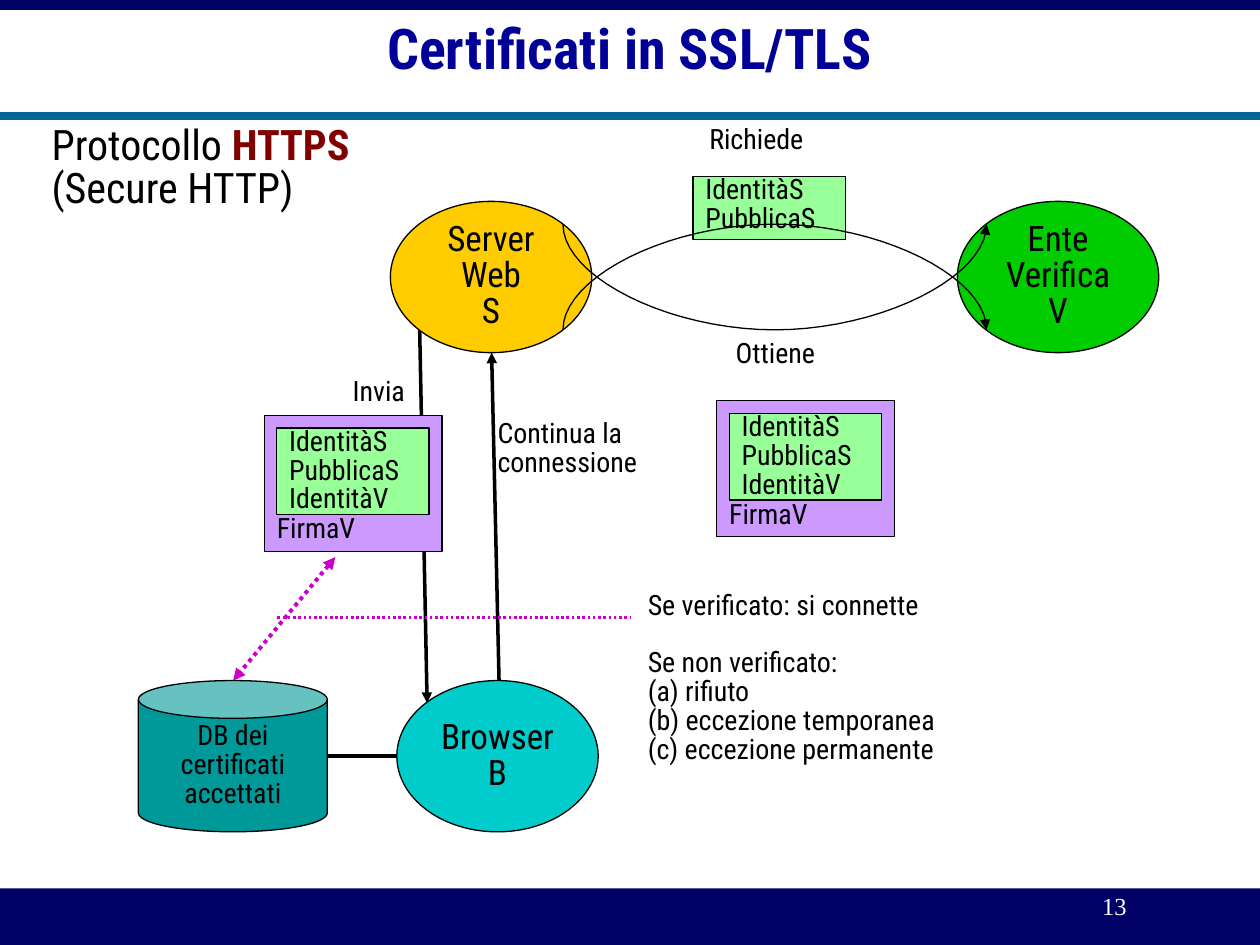
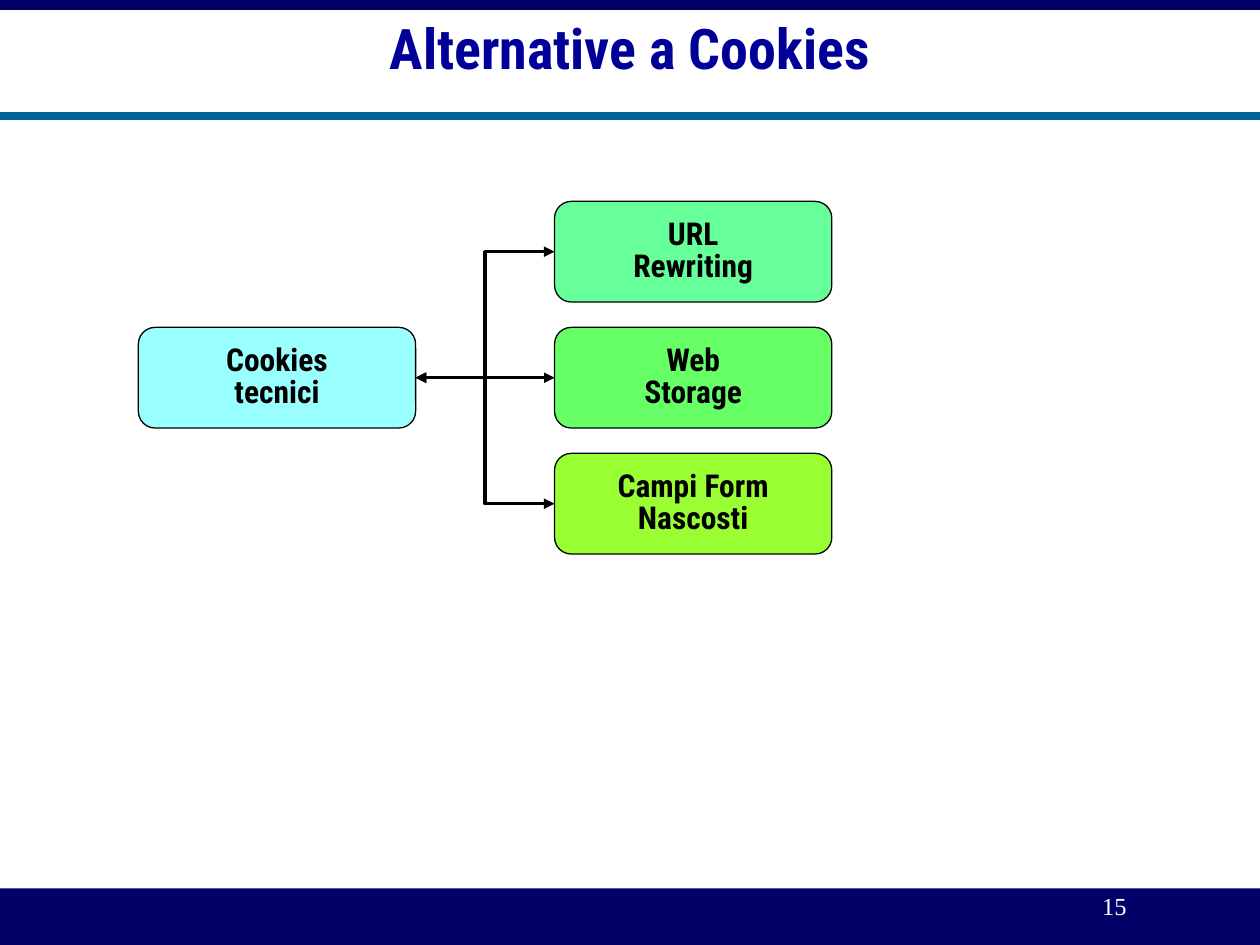
from lxml import etree
from pptx import Presentation
from pptx.dml.color import RGBColor
from pptx.enum.dml import MSO_LINE
from pptx.enum.shapes import MSO_CONNECTOR, MSO_SHAPE
from pptx.enum.text import MSO_ANCHOR, PP_ALIGN
from pptx.oxml.ns import qn
from pptx.util import Cm, Pt

RECT, ROUND, OVAL, CAN = (MSO_SHAPE.RECTANGLE, MSO_SHAPE.ROUNDED_RECTANGLE,
                          MSO_SHAPE.OVAL, MSO_SHAPE.CAN)
STRAIGHT, ELBOW = MSO_CONNECTOR.STRAIGHT, MSO_CONNECTOR.ELBOW
LEFT, CENTER, RIGHT = PP_ALIGN.LEFT, PP_ALIGN.CENTER, PP_ALIGN.RIGHT
TOP, MIDDLE = MSO_ANCHOR.TOP, MSO_ANCHOR.MIDDLE
DOTTED = MSO_LINE.ROUND_DOT

FONT = "Roboto Condensed"
NAVY, BLUE, TEAL = "000066", "000099", "006699"
BLACK, WHITE, MAROON, MAGENTA = "000000", "FFFFFF", "800000", "CC00CC"
GREEN, VIOLET = "99FF99", "CC99FF"
SLIDE_W, SLIDE_H = 25.4, 19.05
IDENTITY = ["IdentitàS", "PubblicaS"]


def rgb(color):
    """Turn a hex string into a colour."""
    return RGBColor.from_string(color)


def cm(*values):
    """Turn numbers into lengths in centimetres."""
    return [Cm(v) for v in values]


def write(tf, lines, size, color=BLACK, bold=False, align=LEFT, anchor=TOP,
          inset=(0, 0, 0, 0), wrap=True, font=FONT):
    """Fill a text frame with one paragraph per line."""
    tf.word_wrap = wrap
    tf.vertical_anchor = anchor
    tf.margin_left, tf.margin_top, tf.margin_right, tf.margin_bottom = cm(*inset)
    tf.text = "\n".join(lines)
    for p in tf.paragraphs:
        p.alignment = align
        p.line_spacing = 0.86
        p.font.name, p.font.size, p.font.bold = font, Pt(size), bold
        p.font.color.rgb = rgb(color)
    return tf


def label(s, box, lines, size=16, **style):
    """Add a text box."""
    return write(s.shapes.add_textbox(*cm(*box)).text_frame, lines, size, **style)


def block(s, kind, box, fill, outlined=True):
    """Add a filled shape, with a hairline outline if wanted."""
    sp = s.shapes.add_shape(kind, *cm(*box))
    sp.shadow.inherit = False
    sp.fill.solid()
    sp.fill.fore_color.rgb = rgb(fill)
    if outlined:
        sp.line.color.rgb = rgb(BLACK)
        sp.line.width = Pt(0)
    else:
        sp.line.fill.background()
    return sp


def node(s, kind, box, fill, lines, size=20, bold=False):
    """Add a shape with centred text."""
    sp = block(s, kind, box, fill)
    write(sp.text_frame, lines, size, bold=bold, align=CENTER, anchor=MIDDLE,
          wrap=False)
    return sp


def style_line(sp, color=BLACK, width=0, heads=(), dash=None):
    """Set colour, width, dashes and arrowheads of a line."""
    sp.line.color.rgb = rgb(color)
    sp.line.width = Pt(width)
    if dash:
        sp.line.dash_style = dash
    ln = sp.element.spPr.find(qn("a:ln"))
    for end in heads:
        etree.SubElement(ln, qn(f"a:{end}"), type="triangle")


def link(s, start, end, kind=STRAIGHT, **style):
    """Add a connector between two points."""
    cx = s.shapes.add_connector(kind, *cm(*start, *end))
    style_line(cx, **style)
    etree.SubElement(cx.element.spPr, qn("a:effectLst"))
    return cx


def arc_arrow(s, start, end, bend_y, steps=20):
    """Add a U-shaped arrow whose middle lies at bend_y."""
    (x0, y0), (x1, _) = start, end
    half, rise = (x1 - x0) / 2, bend_y - y0
    points = []
    for i in range(steps + 1):
        t = i / steps
        across = 1.5 * (1 - t) * t ** 2 + t ** 3
        down = 1.5 * (1 - t) ** 2 * t + 3 * (1 - t) * t ** 2 + t ** 3
        points.append((x0 + half * across, y0 + rise * down))
    points += [(x0 + x1 - x, y) for x, y in reversed(points[:-1])]
    points = [cm(*point) for point in points]
    fb = s.shapes.build_freeform(*points[0], scale=1.0)
    fb.add_line_segments(points[1:], close=False)
    sp = fb.convert_to_shape()
    sp.shadow.inherit = False
    sp.fill.background()
    style_line(sp, heads=["tailEnd"])


def build_layout(s):
    """Draw the bands and the rule and move them to the slide's layout."""
    bands = [block(s, RECT, (0, 17.91, SLIDE_W, 1.14), NAVY, outlined=False),
             block(s, RECT, (0, 0, SLIDE_W, 0.2), NAVY, outlined=False),
             link(s, (0, 2.34), (SLIDE_W, 2.34), color=TEAL, width=4.5)]
    for band in bands:
        s.slide_layout.shapes.element.append(band.element)


def frame(s, title, number):
    """Set the title and the slide number."""
    sp = s.shapes.title
    sp.left, sp.top, sp.width, sp.height = cm(0.51, 0, 24.38, 2.11)
    write(sp.text_frame, [title], 32, color=BLUE, bold=True, align=CENTER,
          anchor=MIDDLE)
    label(s, (19.81, 17.91, 3.15, 0.84), [str(number)], 14, color=WHITE,
          align=RIGHT, inset=(0.25, 0.13, 0.25, 0.13), font="Times New Roman")


def identity_card(s, x, y, h, lines):
    """Add a green card that lists identity data."""
    sp = block(s, RECT, (x, y, 3.07, h), GREEN)
    write(sp.text_frame, lines, 16, inset=(0.25, 0, 0, 0))


def certificate(s, x, y):
    """Add a signed certificate around an identity card."""
    sp = block(s, RECT, (x, y, 3.58, 2.74), VIOLET)
    write(sp.text_frame, ["FirmaV"], 16, inset=(0.25, 2.02, 0, 0))
    identity_card(s, x + 0.25, y + 0.25, 1.75, IDENTITY + ["IdentitàV"])


def certificates_slide(s):
    """Show how certificates are issued and checked."""
    link(s, (8.46, 6.65), (8.61, 14.17), heads=["tailEnd"])
    certificate(s, 5.33, 8.38)
    identity_card(s, 13.97, 3.56, 1.27, IDENTITY)
    w, h = 4.06, 3.05
    node(s, OVAL, (7.87, 4.06, w, h), "FFCC00", ["Server", "Web", "S"])
    node(s, OVAL, (19.3, 4.06, w, h), "00CC00", ["Ente", "Verifica", "V"])
    high, low = 4.52, 6.65
    for y, bend_y in ((high, low), (low, high)):
        arc_arrow(s, (11.35, y), (19.89, y), bend_y)
    certificate(s, 14.45, 8.08)
    node(s, OVAL, (8, 13.72, w, h), "00CCCC", ["Browser", "B"])
    node(s, CAN, (2.79, 13.72, 3.81, h), "009999",
         ["DB dei", "certificati", "accettati"], 16)
    link(s, (6.76, 11.23), (4.7, 13.72), color=MAGENTA, width=2.3,
         dash=DOTTED, heads=["headEnd", "tailEnd"])
    link(s, (10.06, 13.72), (9.91, 7.11), heads=["tailEnd"])
    link(s, (8, 15.24), (6.6, 15.24))
    link(s, (5.59, 12.45), (12.7, 12.45), color=MAGENTA, width=1.5, dash=DOTTED)

    label(s, (14.3, 2.54, 2.18, 0.66), ["Richiede"])
    label(s, (14.83, 6.86, 1.88, 0.66), ["Ottiene"])
    label(s, (7.11, 7.62, 1.22, 0.66), ["Invia"])
    label(s, (10.03, 8.48, 3.15, 1.22), ["Continua la", "connessione"])
    outcomes = label(s, (13.06, 11.94, 6.68, 3.45), [
        "Se verificato: si connette", "Se non verificato:", "(a) rifiuto",
        "(b) eccezione temporanea", "(c) eccezione permanente"])
    outcomes.paragraphs[1].space_before = Pt(16.4)
    protocol = label(s, (1.04, 2.54, 6.81, 1.83),
                     ["Protocollo ", "(Secure HTTP)"], 24)
    r = protocol.paragraphs[0].add_run()
    r.text = "HTTPS"
    r.font.bold = True
    r.font.color.rgb = rgb(MAROON)


def alternatives_slide(s):
    """Link technical cookies to their three alternatives."""
    x, y, w, h, pitch = 11.18, 4.06, 5.59, 2.03, 2.54
    cookies = node(s, ROUND, (2.79, y + pitch, w, h), "99FFFF",
                   ["Cookies", "tecnici"], 18, bold=True)
    alternatives = [("66FF99", ["URL", "Rewriting"]),
                    ("66FF66", ["Web", "Storage"]),
                    ("99FF33", ["Campi Form", "Nascosti"])]
    for i, (fill, lines) in enumerate(alternatives):
        sp = node(s, ROUND, (x, y + i * pitch, w, h), fill, lines, 18, bold=True)
        cx = link(s, (2.79 + w, y + pitch + h / 2), (x, y + i * pitch + h / 2),
                  STRAIGHT if i == 1 else ELBOW, heads=["headEnd", "tailEnd"])
        cx.begin_connect(cookies, 3)
        cx.end_connect(sp, 1)


def main():
    """Build the presentation."""
    prs = Presentation()
    prs.slide_width, prs.slide_height = cm(SLIDE_W, SLIDE_H)
    layout = prs.slide_layouts[5]
    pages = [("Certificati in SSL/TLS", 13, certificates_slide),
             ("Alternative a Cookies", 15, alternatives_slide)]
    for i, (title, number, draw) in enumerate(pages):
        s = prs.slides.add_slide(layout)
        if i == 0:
            build_layout(s)
        frame(s, title, number)
        draw(s)
    prs.save("out.pptx")


if __name__ == "__main__":
    main()
